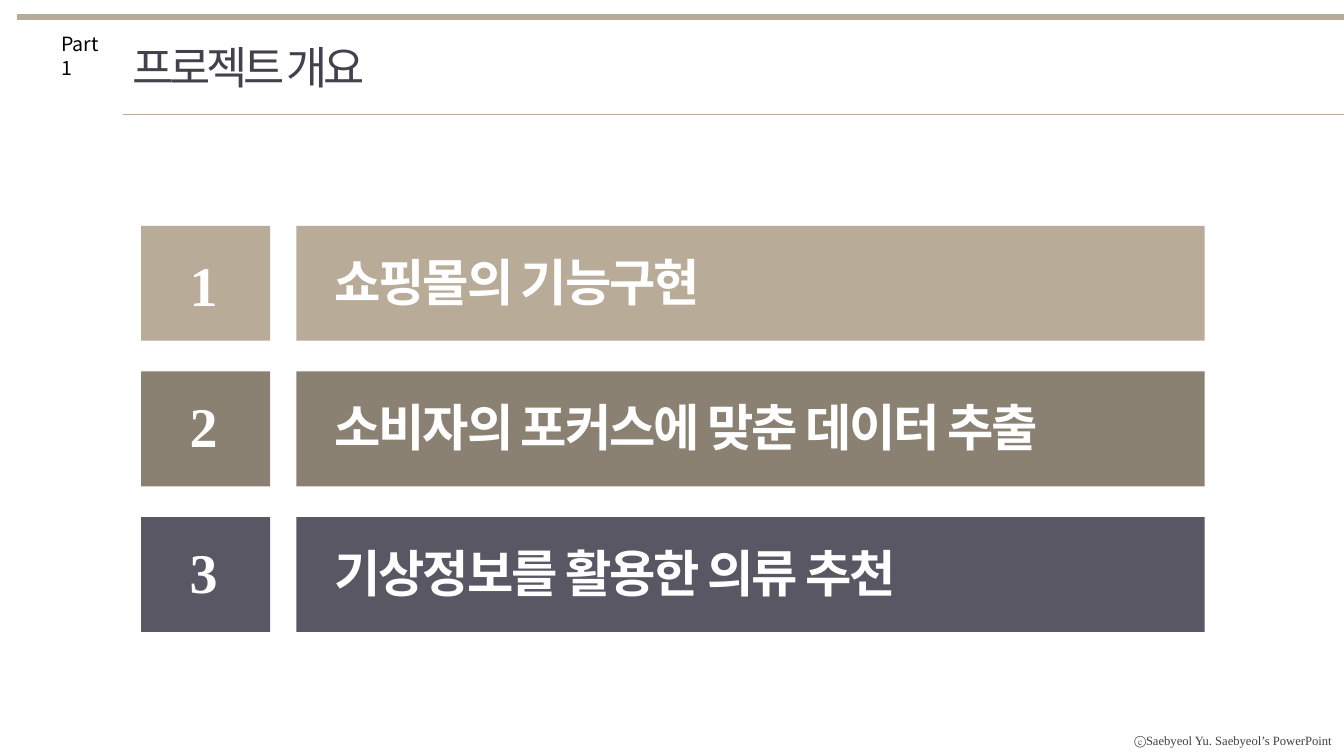
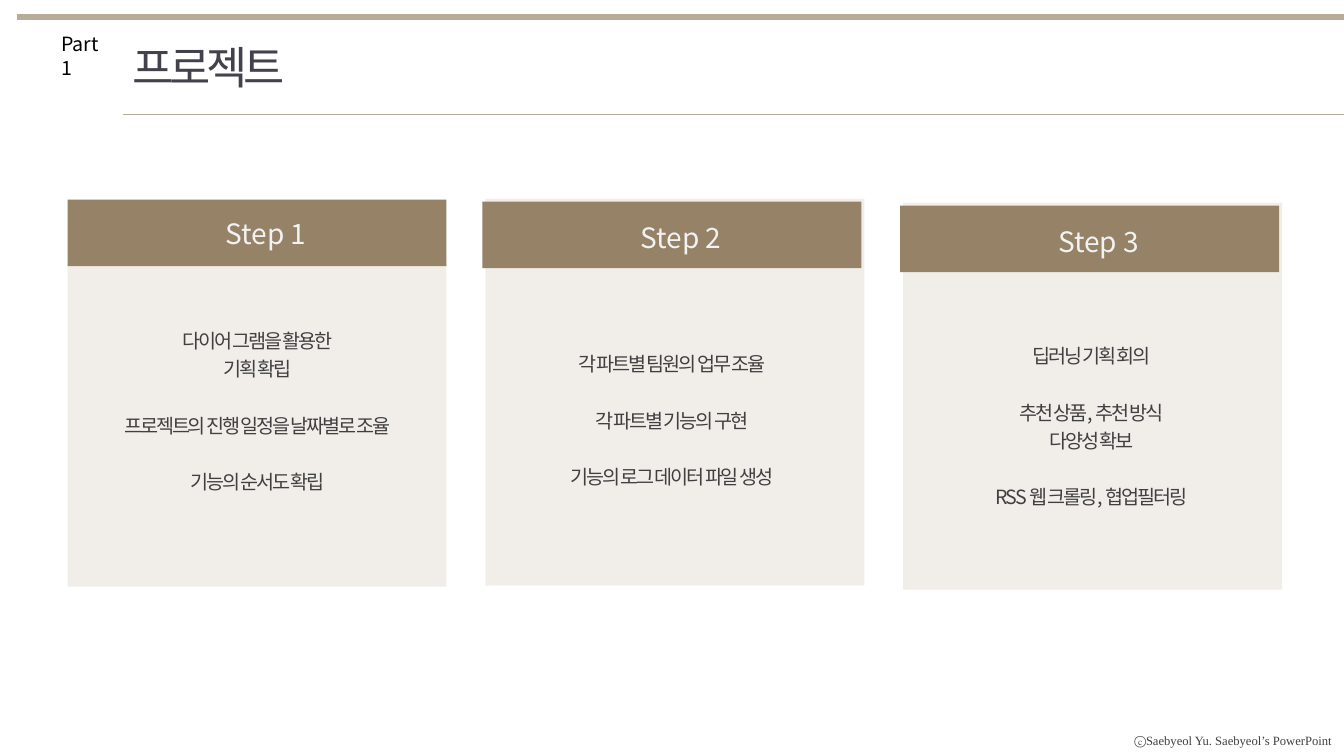
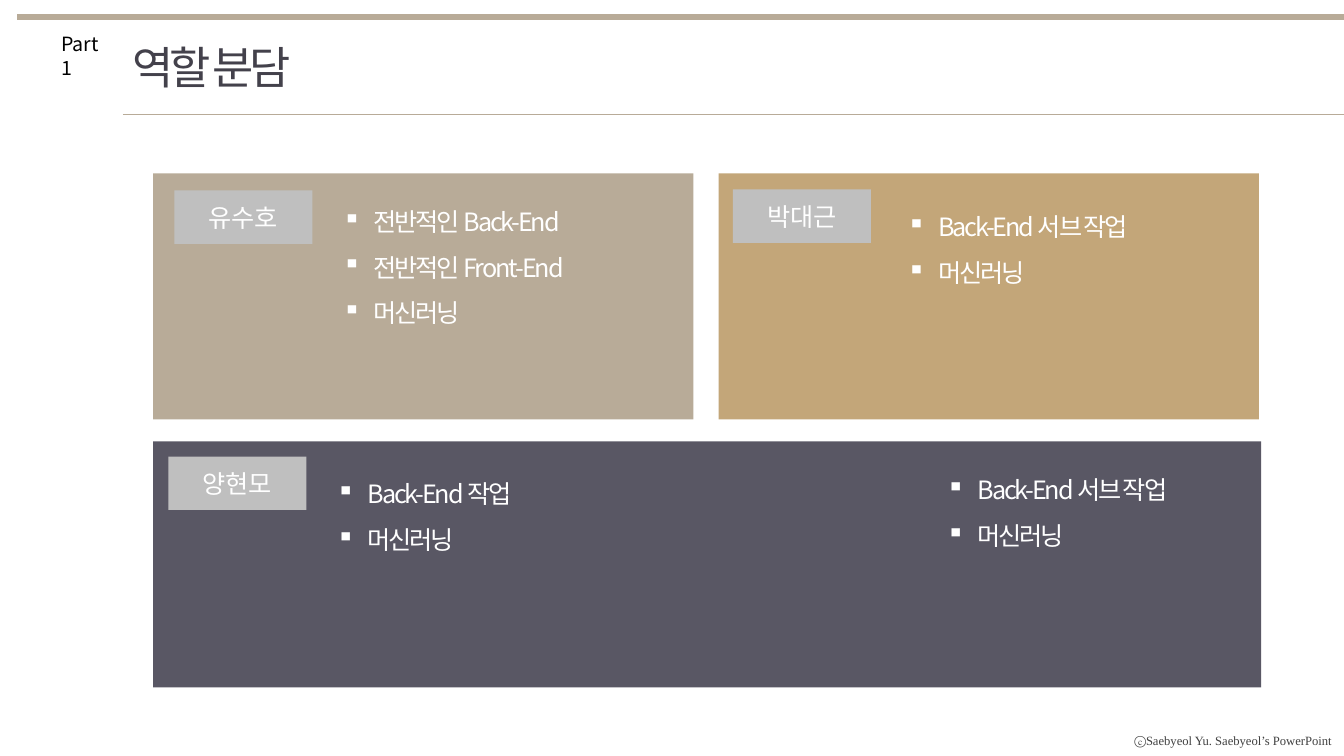
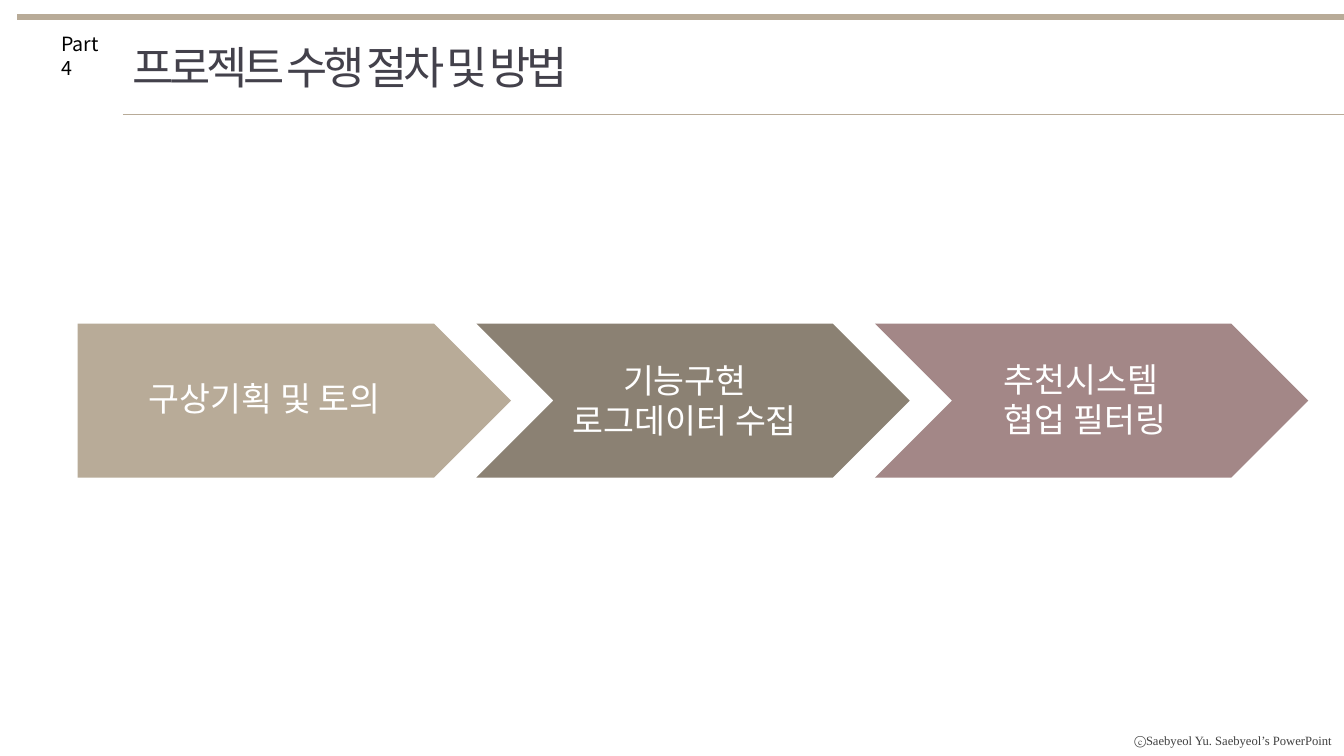
import dataclasses

import lxml.etree
import pptx
import pptx.dml.color
import pptx.enum.shapes
import pptx.enum.text
import pptx.oxml.ns
import pptx.util

RGBColor = pptx.dml.color.RGBColor
Shapes = pptx.enum.shapes.MSO_SHAPE
Align = pptx.enum.text.PP_ALIGN

SAND = RGBColor(0xB8, 0xAB, 0x98)
TAUPE = RGBColor(0x8B, 0x81, 0x73)
SLATE = RGBColor(0x59, 0x57, 0x64)
OCHRE = RGBColor(0xC3, 0xA6, 0x79)
ROSE = RGBColor(0xA3, 0x87, 0x87)
BROWN = RGBColor(0x95, 0x82, 0x67)
CREAM = RGBColor(0xF1, 0xEE, 0xEA)
SILVER = RGBColor(0xBF, 0xBF, 0xBF)
PALE = RGBColor(0xF2, 0xF2, 0xF2)
WHITE = RGBColor(0xFF, 0xFF, 0xFF)
BLACK = RGBColor(0x00, 0x00, 0x00)
TITLE_INK = RGBColor(0x43, 0x41, 0x4B)
BODY_INK = RGBColor(0x40, 0x40, 0x40)

SANS = "Noto Sans CJK KR"
SERIF = "Times New Roman"

# The grid has ten columns and ten rows to the inch.
CELL = pptx.util.Inches(0.1)
COLUMNS, ROWS = 133.33, 75


@dataclasses.dataclass
class Box:
    """An area measured in grid columns and rows."""
    left: float
    top: float
    width: float
    height: float

    def within(self, left, top, width, height):
        return Box(self.left + left, self.top + top, width, height)

    def lengths(self):
        return [round(value * CELL) for value in dataclasses.astuple(self)]


@dataclasses.dataclass
class Style:
    size: float
    color: RGBColor
    font: str = SANS
    bold: bool = False
    tracking: float = 0
    align: Align = Align.LEFT
    line_spacing: float = 1.0
    bulleted: bool = False


TITLE = Style(32, TITLE_INK, SERIF, tracking=-3)
PART = Style(14, BLACK)
COPYRIGHT = Style(9, BODY_INK, SERIF, align=Align.RIGHT)
GOAL_NUMBER = Style(40, WHITE, SERIF, bold=True, align=Align.CENTER)
GOAL = Style(36, WHITE, bold=True, tracking=-1.5)
STEP = Style(20, PALE, align=Align.CENTER)
STEP_BODY = Style(14, BODY_INK, tracking=-1.5, align=Align.CENTER, line_spacing=1.2)
MEMBER = Style(18, WHITE, SERIF, align=Align.CENTER)
TASK = Style(18, WHITE, tracking=-1.5, line_spacing=1.5, bulleted=True)
PHASE = Style(24, WHITE, SERIF)
PHASE_CENTERED = dataclasses.replace(PHASE, align=Align.CENTER)


def add_bullet(paragraph):
    properties = paragraph._p.get_or_add_pPr()
    hang = pptx.util.Inches(0.31)
    properties.set("marL", str(hang))
    properties.set("indent", str(-hang))
    bullet = lxml.etree.SubElement(properties, pptx.oxml.ns.qn("a:buChar"))
    bullet.set("char", "▪")


def add_run(paragraph, text, style):
    run = paragraph.add_run()
    run.text = text
    font = run.font
    font.size = pptx.util.Pt(style.size)
    font.name = style.font
    font.bold = style.bold
    font.color.rgb = style.color
    properties = run._r.get_or_add_rPr()
    if style.tracking:
        properties.set("spc", str(round(style.tracking * 100)))
    east_asian = lxml.etree.SubElement(properties, pptx.oxml.ns.qn("a:ea"))
    east_asian.set("typeface", SANS)


def write(shape, groups, style, group_gap=0):
    """Write groups of paragraphs; a line feed inside a paragraph breaks the line."""
    frame = shape.text_frame
    paragraph = None
    for group in groups:
        for index, text in enumerate(group):
            first = paragraph is None
            paragraph = frame.paragraphs[0] if first else frame.add_paragraph()
            if style.bulleted:
                add_bullet(paragraph)
            paragraph.alignment = style.align
            paragraph.line_spacing = style.line_spacing
            if index == 0 and not first and group_gap:
                paragraph.space_before = pptx.util.Pt(group_gap)
            for number, line in enumerate(text.split("\n")):
                if number:
                    paragraph.add_line_break()
                add_run(paragraph, line, style)


def add_text(slide, box, groups, style, wrap=True, group_gap=0):
    shape = slide.shapes.add_textbox(*box.lengths())
    shape.text_frame.word_wrap = wrap
    write(shape, groups, style, group_gap)


def add_block(slide, box, color, kind=Shapes.RECTANGLE):
    shape = slide.shapes.add_shape(kind, *box.lengths())
    shape.shadow.inherit = False
    shape.fill.solid()
    shape.fill.fore_color.rgb = color
    shape.line.fill.background()
    return shape


def add_rule(slide, left, top, weight):
    """Draw a level line from the given point to the right edge of the slide."""
    start, height, end = (round(value * CELL) for value in (left, top, COLUMNS))
    line = slide.shapes.add_connector(
        pptx.enum.shapes.MSO_CONNECTOR.STRAIGHT, start, height, end, height)
    line.line.color.rgb = SAND
    line.line.width = pptx.util.Pt(weight)
    lxml.etree.SubElement(line._element.spPr, pptx.oxml.ns.qn("a:effectLst"))


def add_page(presentation, part, title):
    """Add a slide with the shared band, heading and copyright line."""
    slide = presentation.slides.add_slide(presentation.slide_layouts[6])
    add_text(slide, Box(106.4, 72.2, 26.7, 2.5),
             [["ⓒSaebyeol Yu. Saebyeol’s PowerPoint"]], COPYRIGHT, wrap=False)
    add_rule(slide, 1.7, 1.7, 4.5)
    add_text(slide, Box(12.2, 3.4, 100, 6.3), [[title]], TITLE)
    add_text(slide, Box(5.1, 2.7, 7.2, 3.3), [[part]], PART, wrap=False)
    add_rule(slide, 12.2, 11.3, 0.5)
    return slide


def add_goal(slide, box, number, goal, color, number_top):
    add_block(slide, box.within(0, 0, 12.8, box.height), color)
    add_block(slide, box.within(15.4, 0, box.width - 15.4, box.height), color)
    add_text(slide, box.within(3.8, number_top, 4.8, 7.6), [[number]], GOAL_NUMBER, wrap=False)
    add_text(slide, box.within(18.2, 2, 85, 7.1), [[goal]], GOAL)


def add_step(slide, box, name, groups, header_shift, body):
    """Draw a step card; body is the left, top and width of its text in the card."""
    add_block(slide, box, CREAM)
    header = box.within(-header_shift, header_shift, box.width, 6.6)
    add_block(slide, header, BROWN)
    add_text(slide, header.within(11.2, 1.2 + header_shift / 2, 17, 4.3), [[name]], STEP)
    left, top, width = body
    add_text(slide, box.within(left, top, width, 18), groups, STEP_BODY, group_gap=20)


def add_member(slide, box, name, color, tag, task_lists):
    """Draw a member panel; tag and each task list are placed inside the panel."""
    add_block(slide, box, color)
    label = add_block(slide, box.within(*tag, 13.7, 5.3), SILVER)
    label.text_frame.vertical_anchor = pptx.enum.text.MSO_ANCHOR.MIDDLE
    write(label, [[name]], MEMBER)
    for left, top, tasks in task_lists:
        add_text(slide, box.within(left, top, 30, 4.9 * len(tasks)), [tasks], TASK)


def add_phase(slide, box, kind, color, text, text_area, style):
    arrow = add_block(slide, box, color, kind)
    arrow.adjustments[0] = 0.5
    add_text(slide, box.within(*text_area), [[text]], style)


def build_goals(presentation):
    slide = add_page(presentation, "Part 1", "프로젝트 개요")
    goals = [("쇼핑몰의 기능구현", SAND, 2),
             ("소비자의 포커스에 맞춘 데이터 추출", TAUPE, 1.5),
             ("기상정보를 활용한 의류 추천", SLATE, 1.5)]
    for index, (goal, color, number_top) in enumerate(goals):
        box = Box(14, 22.4 + 14.45 * index, 105.5, 11.4)
        add_goal(slide, box, str(index + 1), goal, color, number_top)


def build_steps(presentation):
    slide = add_page(presentation, "Part 1", "프로젝트")
    steps = [
        (19.8, 0, (1.6, 11.9, 34.5),
         [["다이어 그램을 활용한", "기획 확립"],
          ["프로젝트의 진행 일정을 날짜별로 조율"],
          ["기능의 순서도 확립"]]),
        (19.7, 0.3, (3, 14.3, 31),
         [["각 파트별 팀원의 업무 조율"],
          ["각 파트별 기능의 구현"],
          ["기능의 로그 데이터 파일 생성"]]),
        (20.1, 0.3, (3.2, 13.1, 31),
         [["딥러닝 기획 회의"],
          ["추천 상품, 추천 방식", "다양성 확보"],
          ["RSS 웹 크롤링, 협업필터링"]]),
    ]
    for index, (top, header_shift, body, groups) in enumerate(steps):
        box = Box(6.7 + 41.45 * index, top, 37.6, 38.4)
        add_step(slide, box, f"Step {index + 1}", groups, header_shift, body)


def build_roles(presentation):
    slide = add_page(presentation, "Part 1", "역할 분담")
    support = ["Back-End 서브 작업", "머신러닝"]
    add_member(slide, Box(15.2, 17.2, 53.6, 24.4), "유수호", SAND, (2.1, 1.7),
               [(17.8, 1.3, ["전반적인 Back-End", "전반적인 Front-End", "머신러닝"])])
    add_member(slide, Box(71.3, 17.2, 53.6, 24.4), "박대근", OCHRE, (1.4, 1.6),
               [(17.7, 1.8, support)])
    add_member(slide, Box(15.2, 43.8, 109.9, 24.4), "양현모", SLATE, (1.5, 1.5),
               [(17.2, 1.7, ["Back-End 작업", "머신러닝"]), (77.7, 1.3, support)])


def build_phases(presentation):
    slide = add_page(presentation, "Part 4", "프로젝트 수행 절차 및 방법")
    phases = [
        (Shapes.PENTAGON, SAND, "구상기획 및 토의", (6.1, 4.9, 30, 5), PHASE),
        (Shapes.CHEVRON, TAUPE, "기능구현\n로그데이터 수집", (6.9, 3.1, 27.6, 9), PHASE_CENTERED),
        (Shapes.CHEVRON, ROSE, "추천시스템\n협업 필터링", (11.8, 3, 22.5, 9), PHASE),
    ]
    for index, phase in enumerate(phases):
        add_phase(slide, Box(7.7 + 39.55 * index, 32.1, 43, 15.3), *phase)


def main():
    presentation = pptx.Presentation()
    presentation.slide_width = round(COLUMNS * CELL)
    presentation.slide_height = ROWS * CELL
    for build in (build_goals, build_steps, build_roles, build_phases):
        build(presentation)
    presentation.save("out.pptx")


if __name__ == "__main__":
    main()
